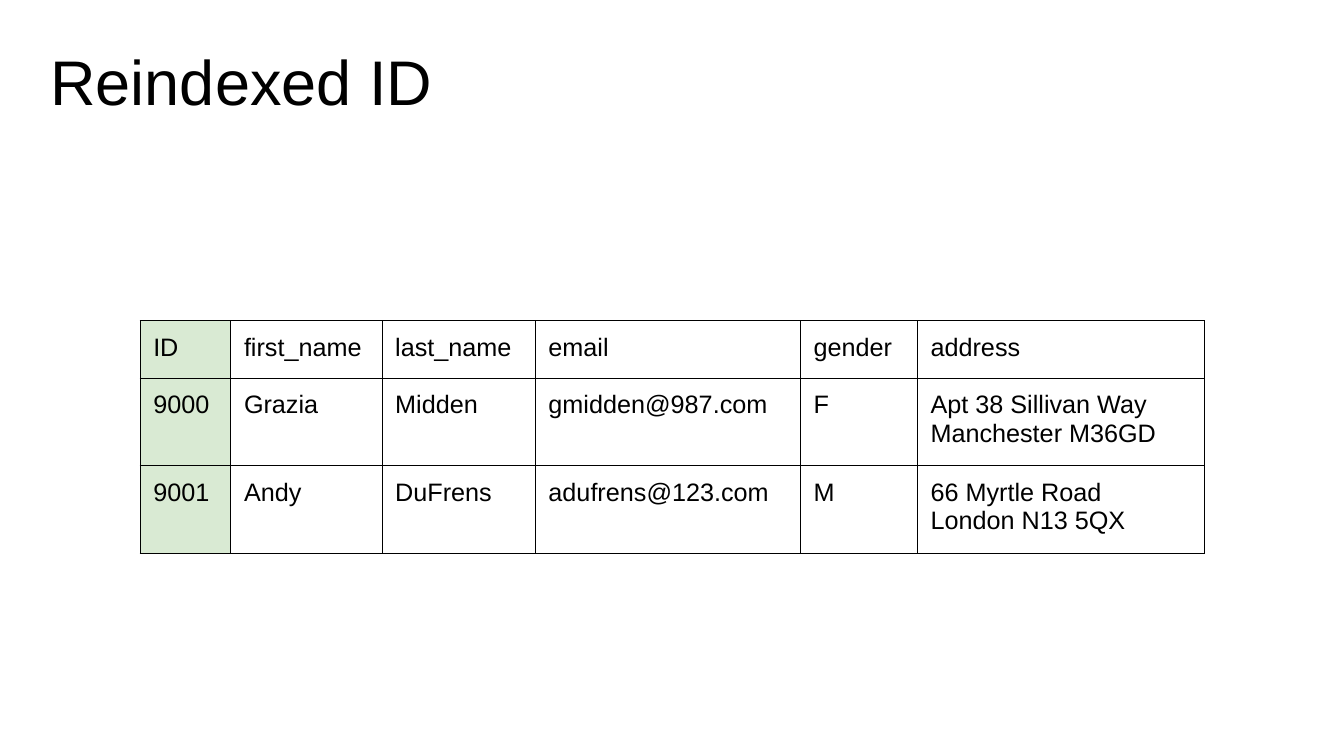
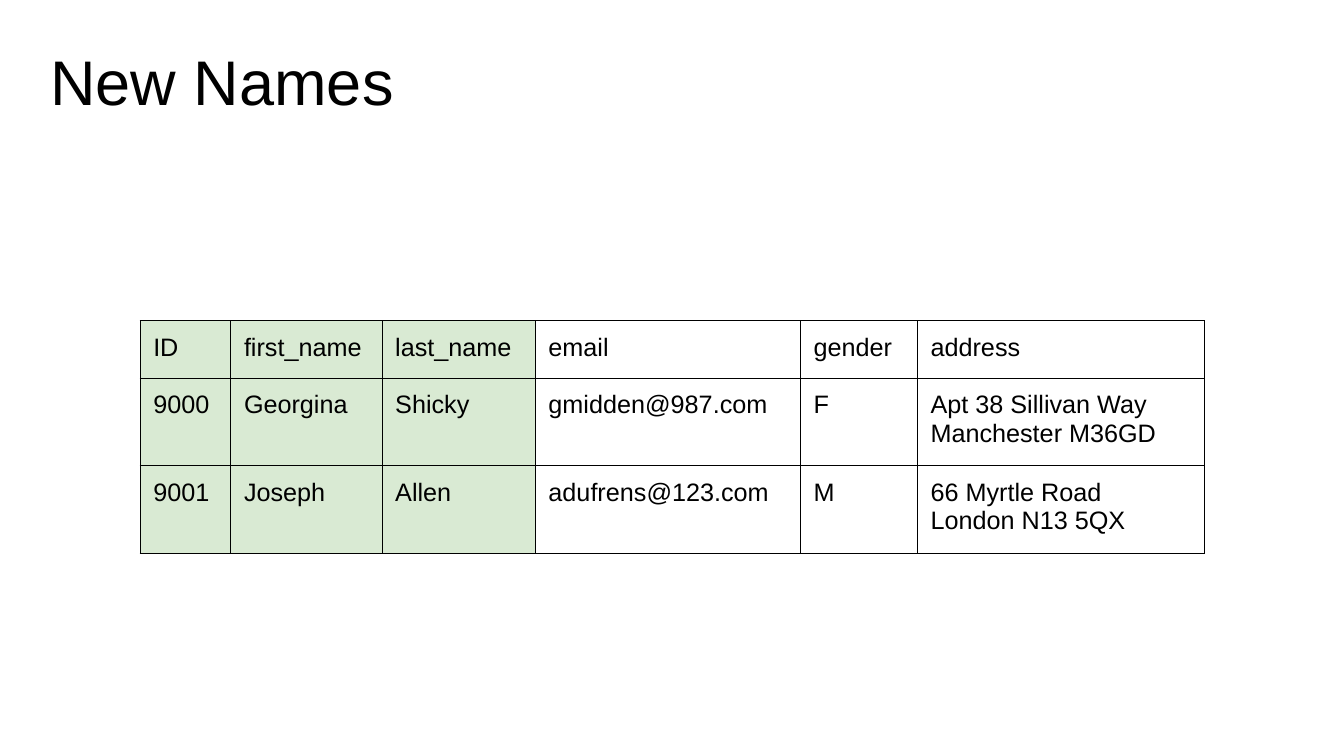
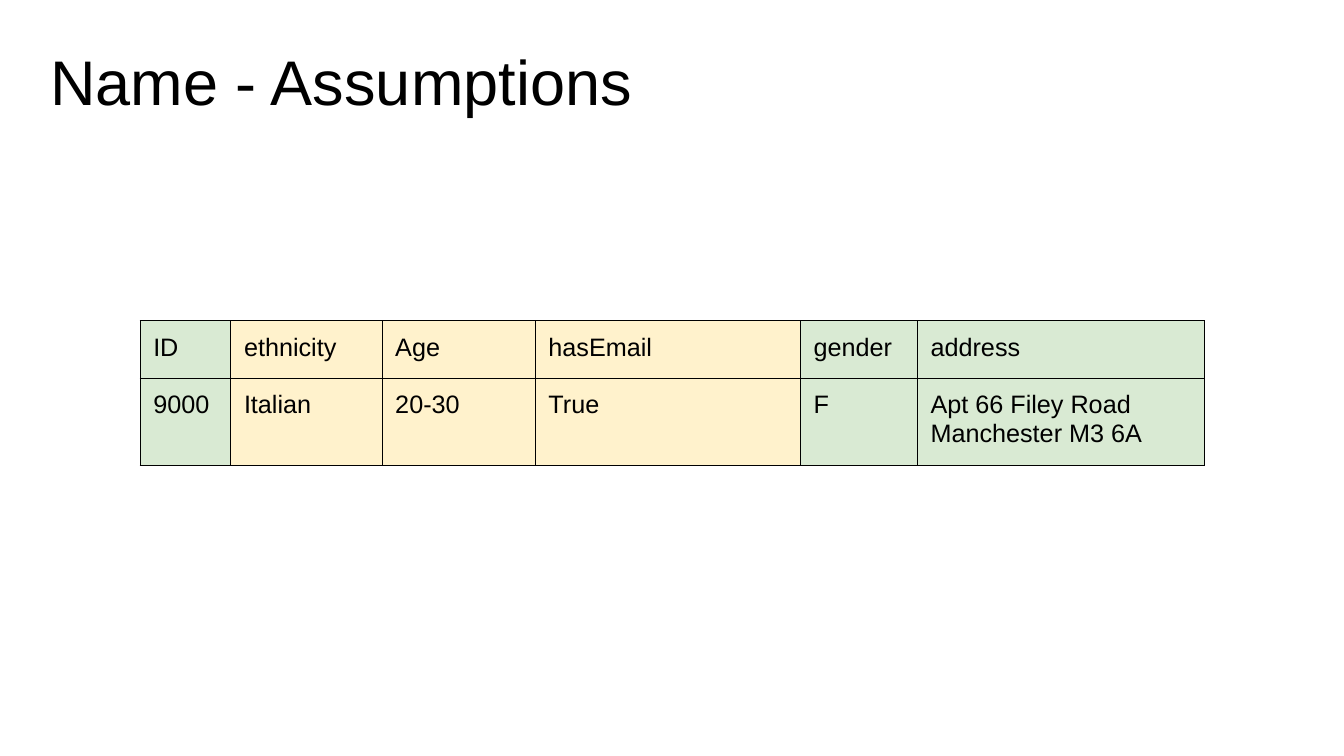
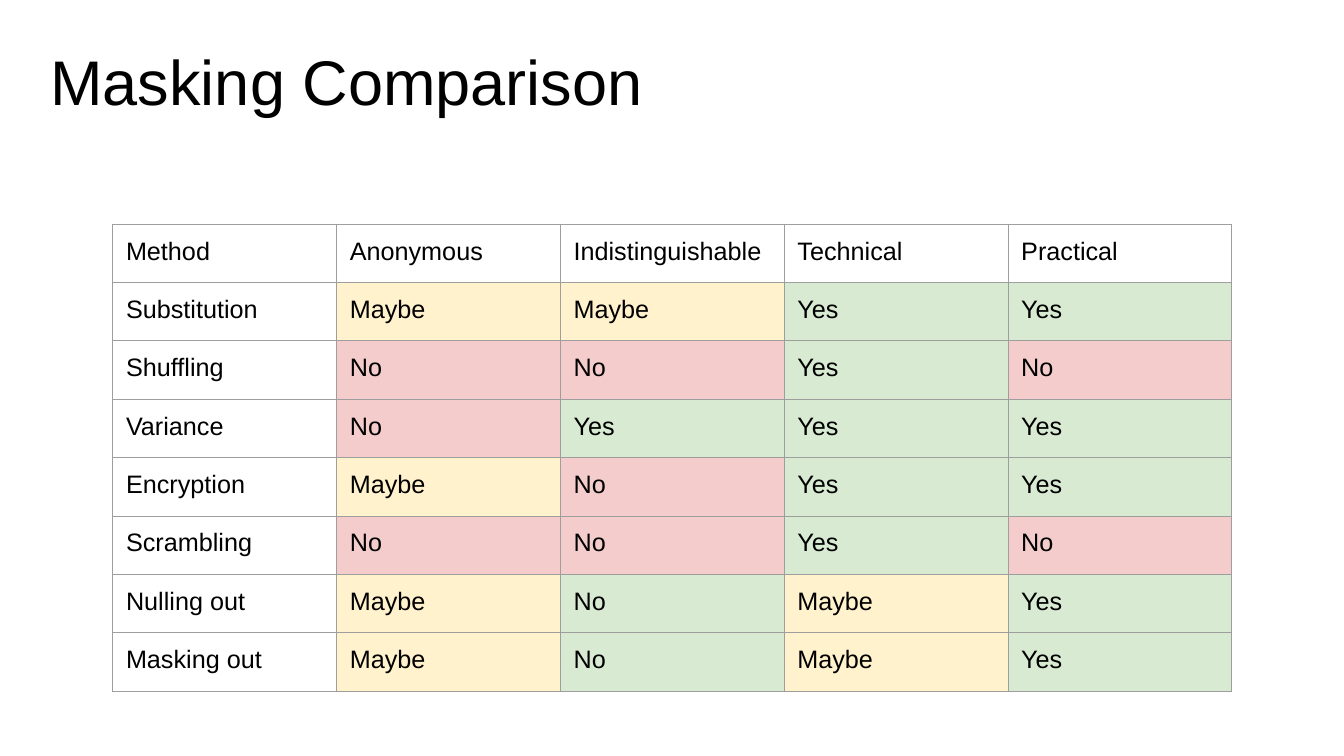
from dataclasses import dataclass

from lxml.etree import SubElement
from pptx import Presentation
from pptx.dml.color import RGBColor
from pptx.enum.text import MSO_ANCHOR
from pptx.oxml.ns import qn
from pptx.slide import Slide
from pptx.table import _Cell
from pptx.text.text import TextFrame
from pptx.util import Inches, Pt

BLACK = RGBColor(0x00, 0x00, 0x00)
GREY = RGBColor(0x9E, 0x9E, 0x9E)
GREEN = RGBColor(0xD9, 0xEA, 0xD3)
YELLOW = RGBColor(0xFF, 0xF2, 0xCC)
RED = RGBColor(0xF4, 0xCC, 0xCC)
TONES = {"G": GREEN, "Y": YELLOW, "R": RED}

INSET = Inches(0.13)
INSETS = {f"margin_{side}": INSET for side in ("left", "top", "right", "bottom")}
TITLE_FONT = {"name": "Arial", "size": Pt(45)}
CELL_FONT = {"name": "Arial", "size": Pt(18)}


@dataclass(frozen=True)
class Grid:
    left: float
    top: float
    columns: tuple[float, ...]
    header_height: float
    row_height: float
    border: RGBColor


@dataclass(frozen=True)
class TablePage:
    title: str
    grid: Grid
    rows: list[tuple[str, ...]]
    tones: list[str]


RECORDS = Grid(1.39, 3.18, (0.9, 1.5, 1.52, 2.63, 1.16, 2.85), 0.57, 0.87, BLACK)
COMPARISON = Grid(1.12, 2.23, (2.22,) * 5, 0.57, 0.58, GREY)

HEADER = ("ID", "first_name", "last_name", "email", "gender", "address")
FIRST_CONTACT = ("gmidden@987.com", "F", "Apt 38 Sillivan Way Manchester M36GD")
SECOND_CONTACT = ("adufrens@123.com", "M", "66 Myrtle Road London N13 5QX")

PAGES = [
    TablePage(
        "Reindexed ID",
        RECORDS,
        [
            HEADER,
            ("9000", "Grazia", "Midden", *FIRST_CONTACT),
            ("9001", "Andy", "DuFrens", *SECOND_CONTACT),
        ],
        ["G-----"] * 3,
    ),
    TablePage(
        "New Names",
        RECORDS,
        [
            HEADER,
            ("9000", "Georgina", "Shicky", *FIRST_CONTACT),
            ("9001", "Joseph", "Allen", *SECOND_CONTACT),
        ],
        ["GGG---"] * 3,
    ),
    TablePage(
        "Name - Assumptions",
        RECORDS,
        [
            ("ID", "ethnicity", "Age", "hasEmail", "gender", "address"),
            ("9000", "Italian", "20-30", "True", "F", "Apt 66 Filey Road Manchester M3 6A"),
        ],
        ["GYYYGG"] * 2,
    ),
    TablePage(
        "Masking Comparison",
        COMPARISON,
        [
            ("Method", "Anonymous", "Indistinguishable", "Technical", "Practical"),
            ("Substitution", "Maybe", "Maybe", "Yes", "Yes"),
            ("Shuffling", "No", "No", "Yes", "No"),
            ("Variance", "No", "Yes", "Yes", "Yes"),
            ("Encryption", "Maybe", "No", "Yes", "Yes"),
            ("Scrambling", "No", "No", "Yes", "No"),
            ("Nulling out", "Maybe", "No", "Maybe", "Yes"),
            ("Masking out", "Maybe", "No", "Maybe", "Yes"),
        ],
        ["-----", "-YYGG", "-RRGR", "-RGGG", "-YRGG", "-RRGR", "-YGYG", "-YGYG"],
    ),
]


def apply(target: object, values: dict) -> None:
    for name, value in values.items():
        setattr(target, name, value)


def write(frame: TextFrame, text: str, font: dict) -> None:
    span = frame.paragraphs[0].add_run()
    span.text = text
    apply(span.font, font)
    span.font.color.rgb = BLACK


def add_title(page: Slide, text: str) -> None:
    box = page.shapes.add_textbox(Inches(0.37), Inches(0.29), Inches(12), Inches(1.25))
    apply(box.text_frame, {**INSETS, "word_wrap": True, "vertical_anchor": MSO_ANCHOR.TOP})
    write(box.text_frame, text, TITLE_FONT)


def add_borders(cell: _Cell, color: RGBColor) -> None:
    properties = cell._tc.get_or_add_tcPr()
    for side in ("lnL", "lnR", "lnT", "lnB"):
        line = SubElement(properties, qn(f"a:{side}"), w=str(Pt(0.75)))
        fill = SubElement(line, qn("a:solidFill"))
        SubElement(fill, qn("a:srgbClr"), val=str(color))


def fill_cell(cell: _Cell, text: str, tone: str, border: RGBColor) -> None:
    apply(cell, {**INSETS, "vertical_anchor": MSO_ANCHOR.TOP})
    add_borders(cell, border)
    if tone in TONES:
        cell.fill.solid()
        cell.fill.fore_color.rgb = TONES[tone]
    else:
        cell.fill.background()
    write(cell.text_frame, text, CELL_FONT)


def add_grid(page: Slide, content: TablePage) -> None:
    grid = content.grid
    heights = [grid.header_height] + [grid.row_height] * (len(content.rows) - 1)
    table = page.shapes.add_table(
        len(heights), len(grid.columns),
        Inches(grid.left), Inches(grid.top),
        Inches(sum(grid.columns)), Inches(sum(heights)),
    ).table
    apply(table, {"first_row": False, "horz_banding": False})
    for column, width in zip(table.columns, grid.columns):
        column.width = Inches(width)
    for row, height, texts, tones in zip(table.rows, heights, content.rows, content.tones):
        row.height = Inches(height)
        for cell, text, tone in zip(row.cells, texts, tones):
            fill_cell(cell, text, tone, grid.border)


def main() -> None:
    deck = Presentation()
    apply(deck, {"slide_width": Inches(13.33), "slide_height": Inches(7.5)})
    for content in PAGES:
        page = deck.slides.add_slide(deck.slide_layouts[6])
        add_title(page, content.title)
        add_grid(page, content)
    deck.save("out.pptx")


if __name__ == "__main__":
    main()
